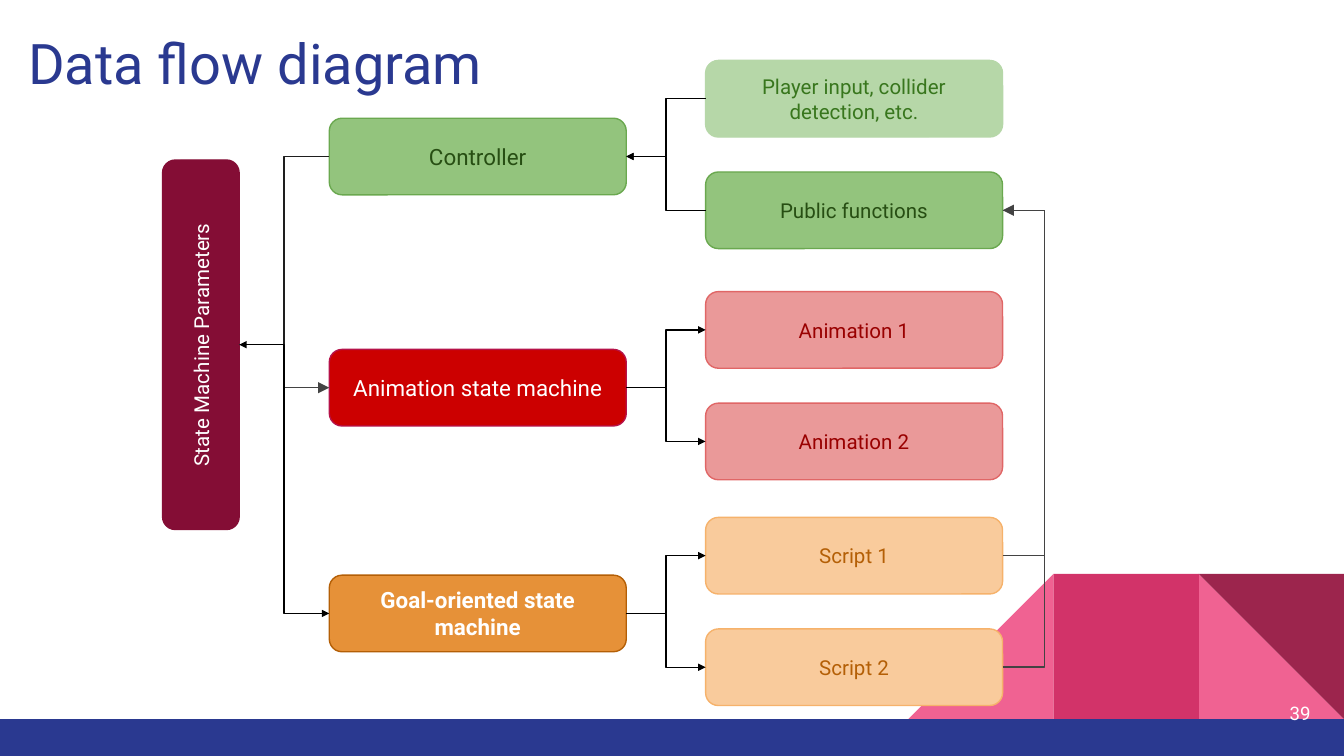
from pptx import Presentation
from pptx.dml.color import RGBColor
from pptx.enum.shapes import MSO_CONNECTOR, MSO_SHAPE
from pptx.enum.text import MSO_ANCHOR, MSO_AUTO_SIZE, PP_ALIGN
from pptx.oxml.ns import qn
from pptx.util import Emu, Inches, Pt
from lxml.etree import SubElement

FONT = "Roboto"
COLORS = {
    "navy": "2A3990", "pink": "F06292", "magenta": "D23369", "plum": "9C254D",
    "white": "FFFFFF", "black": "000000", "ink": "1E1E1E", "gray": "434343",
}
STYLES = {
    "parameters": ("840D35", "840D35", "FFFFFF"),
    "controller": ("93C47D", "6AA84F", "274E13"),
    "input": ("B6D7A8", "B6D7A8", "38761D"),
    "animator": ("CC0000", "B61249", "FFFFFF"),
    "animation": ("EA9999", "E06666", "990000"),
    "goal": ("E69138", "B45F06", "FFFFFF"),
    "script": ("F9CB9C", "F6B26B", "B45F06"),
}
NODE_WIDTH, NODE_HEIGHT = 2.21, 0.57
LEFT, RIGHT, BOTTOM = 1, 3, 2


def rgb(value):
    return RGBColor.from_string(value)


def write(box, text, size, color, align, anchor, bold=False):
    frame = box.text_frame
    frame.text = text
    frame.word_wrap = True
    frame.auto_size = MSO_AUTO_SIZE.NONE
    frame.vertical_anchor = anchor
    frame.margin_left = frame.margin_right = Inches(0.1)
    frame.margin_top = frame.margin_bottom = Inches(0.1)
    para = frame.paragraphs[0]
    para.alignment = align
    font = para.runs[0].font
    font.name, font.size, font.bold = FONT, Pt(size), bold
    font.color.rgb = rgb(color)


def add_block(page, kind, left, top, width, height, fill):
    block = page.shapes.add_shape(
        kind, Inches(left), Inches(top), Inches(width), Inches(height))
    block.shadow.inherit = False
    block.fill.solid()
    block.fill.fore_color.rgb = rgb(fill)
    block.line.fill.background()
    return block


def add_node(page, left, top, text, style, size=11, width=NODE_WIDTH, bold=False):
    fill, outline, color = STYLES[style]
    node = add_block(page, MSO_SHAPE.ROUNDED_RECTANGLE, left, top, width, NODE_HEIGHT, fill)
    node.line.color.rgb = rgb(outline)
    node.line.width = Pt(0.75)
    write(node, text, size, color, PP_ALIGN.CENTER, MSO_ANCHOR.MIDDLE, bold)
    return node


def side_point(node, site):
    x = node.left + (node.width if site == RIGHT else 0)
    return x, node.top + node.height // 2


def add_link(page, start, start_site, end, end_site, color="black",
             head=None, tail=None):
    link = page.shapes.add_connector(
        MSO_CONNECTOR.ELBOW, *side_point(start, start_site), *side_point(end, end_site))
    link.begin_connect(start, start_site)
    link.end_connect(end, end_site)
    link.line.color.rgb = rgb(COLORS[color])
    link.line.width = Pt(0.75)
    line = link.line._get_or_add_ln()
    for tag, size in (("a:headEnd", head), ("a:tailEnd", tail)):
        if size:
            SubElement(line, qn(tag), type="triangle", w=size, len=size)
    SubElement(link._element.spPr, qn("a:effectLst"))
    return link


def add_return_link(page, start, end, reach, tail=None):
    link = add_link(page, start, RIGHT, end, RIGHT, "gray", tail=tail)
    link.width = Emu(600)
    bend = round(Inches(reach) / link.width * 100000)
    guides = link._element.spPr.find(qn("a:prstGeom")).get_or_add_avLst()
    SubElement(guides, qn("a:gd"), name="adj1", fmla=f"val {bend}")


def draw_title(page, left, top, width, height):
    title = page.shapes.title
    title.left, title.top = Inches(left), Inches(top)
    title.width, title.height = Inches(width), Inches(height)
    write(title, "Data flow diagram", 30, COLORS["navy"], PP_ALIGN.LEFT, MSO_ANCHOR.TOP)


def draw_backdrop(page, left, top, tile):
    triangle = MSO_SHAPE.RIGHT_TRIANGLE
    add_block(page, triangle, left + 2 * tile, top, tile, tile, COLORS["pink"])
    ramp = add_block(page, triangle, left, top, tile, tile, COLORS["pink"])
    ramp._element.spPr.find(qn("a:xfrm")).set("flipH", "1")
    add_block(page, MSO_SHAPE.RECTANGLE, left + tile, top, tile, tile, COLORS["magenta"])
    corner = add_block(page, triangle, left + 2 * tile, top, tile, tile, COLORS["plum"])
    corner.rotation = 180
    add_block(page, MSO_SHAPE.RECTANGLE, 0, top + tile, 10, 0.28, COLORS["navy"])


def draw_branch(page, left, top, parent, children, inbound=False, bold=False):
    hub = add_node(page, left, top + 0.43, *parent, size=12, bold=bold)
    leaves = [add_node(page, left + 2.8, top + 0.83 * row, *child)
              for row, child in enumerate(children)]
    arrow = {"head" if inbound else "tail": "sm"}
    for leaf in leaves:
        add_link(page, hub, RIGHT, leaf, LEFT, **arrow)
    return hub, leaves


def draw_parameters(page, left, top, length, hubs):
    bar = add_node(page, left + (NODE_HEIGHT - length) / 2, top + (length - NODE_HEIGHT) / 2,
                   "State Machine Parameters", "parameters", width=length)
    bar.rotation = 270
    controller, animator, goal = hubs
    for hub, color, head, tail in ((controller, "ink", None, None),
                                   (animator, "gray", None, "med"),
                                   (goal, "black", "sm", "sm")):
        link = add_link(page, bar, BOTTOM, hub, LEFT, color, head, tail)
        link.begin_x = Inches(left + NODE_HEIGHT)
        link.begin_y = Inches(top + length / 2)


def draw_page_number(page, left, top, width, height):
    box = page.shapes.add_textbox(Inches(left), Inches(top), Inches(width), Inches(height))
    write(box, "39", 10, COLORS["white"], PP_ALIGN.RIGHT, MSO_ANCHOR.MIDDLE)


def main():
    deck = Presentation()
    deck.slide_width = Inches(10)
    deck.slide_height = deck.slide_width * 9 // 16
    page = deck.slides.add_slide(deck.slide_layouts[5])
    draw_title(page, 0.11, 0.11, 9.32, 0.66)
    draw_backdrop(page, 6.76, 4.27, 1.08)
    controller, (_, functions) = draw_branch(
        page, 2.45, 0.45, ("Controller", "controller"),
        [("Player input, collider detection, etc.", "input"),
         ("Public functions", "controller")], inbound=True)
    animator, _ = draw_branch(
        page, 2.45, 2.17, ("Animation state machine", "animator"),
        [("Animation 1", "animation"), ("Animation 2", "animation")])
    goal, scripts = draw_branch(
        page, 2.45, 3.85, ("Goal-oriented state machine", "goal"),
        [("Script 1", "script"), ("Script 2", "script")], bold=True)
    draw_parameters(page, 1.21, 1.19, 2.75, (controller, animator, goal))
    for script, tail in zip(scripts, (None, "med")):
        add_return_link(page, script, functions, 0.26, tail)
    draw_page_number(page, 9.25, 5.09, 0.6, 0.43)
    deck.save("out.pptx")


if __name__ == "__main__":
    main()
